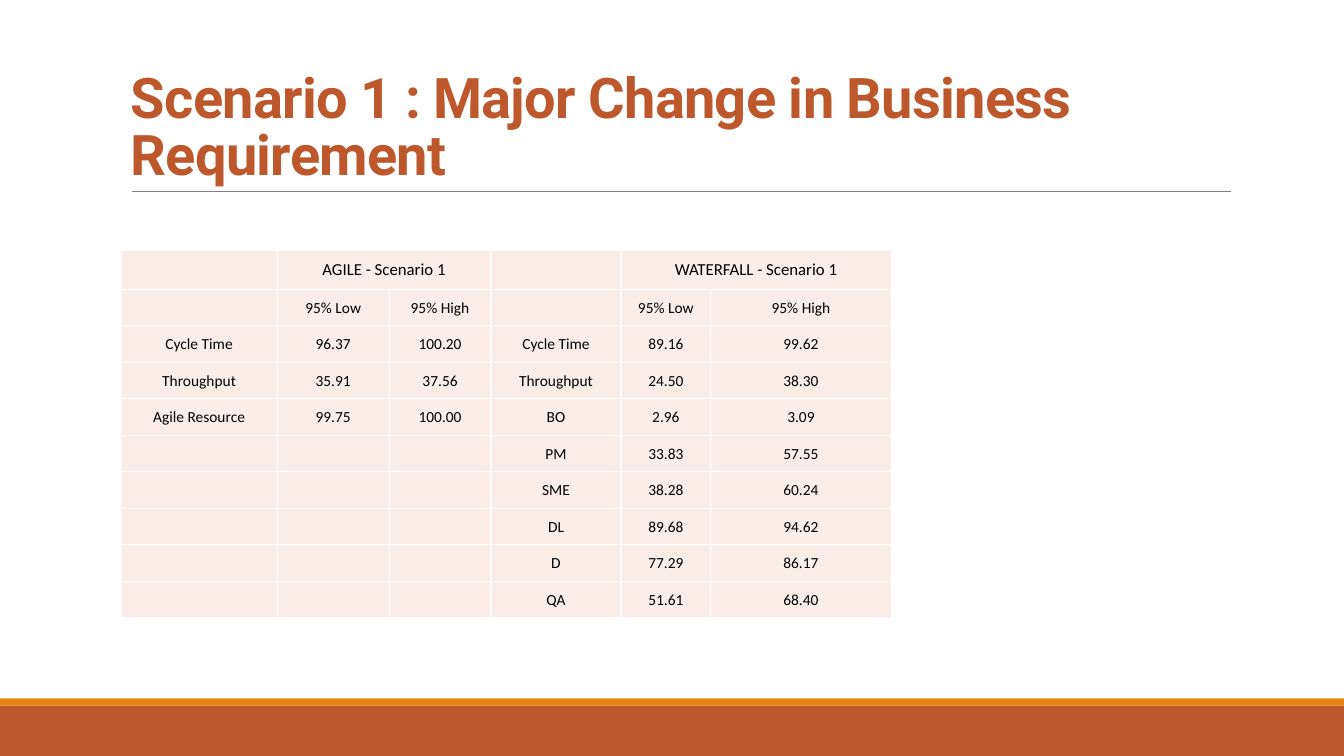
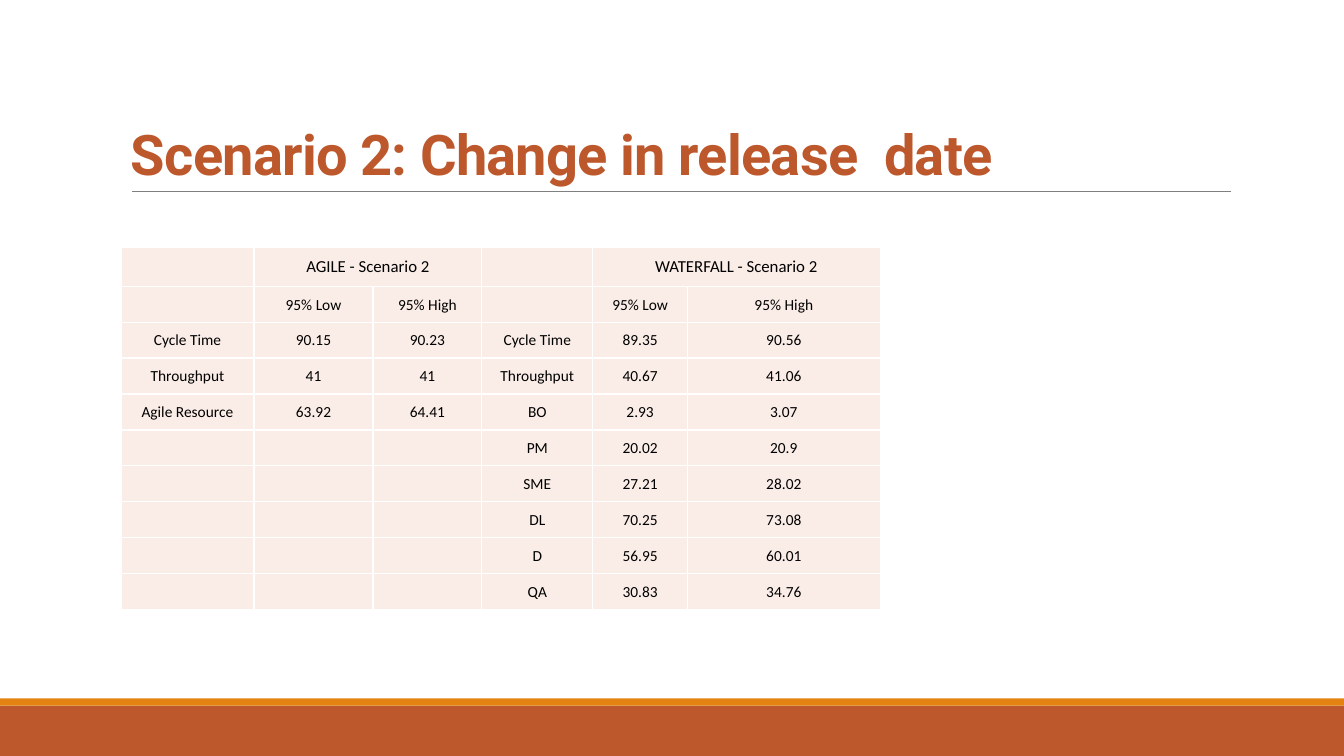
from lxml.etree import SubElement
from pptx import Presentation
from pptx.dml.color import RGBColor
from pptx.enum.shapes import MSO_CONNECTOR as CONN, MSO_SHAPE as SHAPE
from pptx.enum.text import MSO_ANCHOR as ANCHOR, PP_ALIGN as ALIGN
from pptx.oxml.ns import qn
from pptx.util import Inches, Pt

COLORS = {"rust": "BD582C", "amber": "E48312", "rule": "808080",
          "cell": "FAEDE7", "border": "FFFFFF", "text": "000000"}
BANDS = [(7, 0.5, "rust"), (6.93, 0.07, "amber")]
TITLE_FONT = {"name": "Roboto", "size": Pt(40), "bold": True}
CELL_FORMAT = {"vertical_anchor": ANCHOR.MIDDLE, "margin_left": Inches(0.01),
               "margin_right": Inches(0.01), "margin_top": Inches(0.01),
               "margin_bottom": 0}
HEADER_HEIGHT = 0.39
AGILE_ROWS = ["Cycle Time", "Throughput", "Agile Resource"]
WATERFALL_ROWS = ["Cycle Time", "Throughput", "BO", "PM", "SME", "DL", "D", "QA"]
RANGE = ["95% Low", "95% High"]

SCENARIOS = [
    {"title": "Scenario 1 : Major Change in Business Requirement",
     "name": "Scenario 1", "top": 2.48, "height": 3.65,
     "cols": [1.55, 1.11, 1.01, 1.29, 0.89, 1.79],
     "agile": [("96.37", "100.20"), ("35.91", "37.56"), ("99.75", "100.00")],
     "waterfall": [("89.16", "99.62"), ("24.50", "38.30"), ("2.96", "3.09"),
                   ("33.83", "57.55"), ("38.28", "60.24"), ("89.68", "94.62"),
                   ("77.29", "86.17"), ("51.61", "68.40")]},
    {"title": "Scenario 2: Change in release  date",
     "name": "Scenario 2", "top": 2.45, "height": 3.6,
     "cols": [1.32, 1.18, 1.08, 1.1, 0.94, 1.91],
     "agile": [("90.15", "90.23"), ("41", "41"), ("63.92", "64.41")],
     "waterfall": [("89.35", "90.56"), ("40.67", "41.06"), ("2.93", "3.07"),
                   ("20.02", "20.9"), ("27.21", "28.02"), ("70.25", "73.08"),
                   ("56.95", "60.01"), ("30.83", "34.76")]},
]


def rgb(name):
    return RGBColor.from_string(COLORS[name])


def apply(target, values):
    for key, value in values.items():
        setattr(target, key, value)


def add_text(p, text, font, color):
    r = p.add_run()
    r.text = text
    apply(r.font, font)
    r.font.color.rgb = rgb(color)
    return r


def add_frame(s):
    for top, height, color in BANDS:
        sp = s.shapes.add_shape(SHAPE.RECTANGLE, 0, Inches(top),
                                Inches(13.33), Inches(height))
        sp.shadow.inherit = False
        sp.fill.solid()
        sp.fill.fore_color.rgb = rgb(color)
        sp.line.fill.background()
    rule = s.shapes.add_connector(CONN.STRAIGHT, Inches(1.31), Inches(1.9),
                                  Inches(12.21), Inches(1.9))
    rule.line.color.rgb = rgb("rule")
    rule.line.width = Pt(0.5)
    SubElement(rule.element.spPr, qn("a:effectLst"))


def add_title(s, text):
    box = s.shapes.add_textbox(Inches(1.2), Inches(0.31), Inches(11), Inches(1.59))
    tf = box.text_frame
    apply(tf, {"word_wrap": True, "vertical_anchor": ANCHOR.BOTTOM})
    p = tf.paragraphs[0]
    p.line_spacing = 0.85
    r = add_text(p, text, TITLE_FONT, "rust")
    r.font._element.set("spc", "-50")


def table_rows(scenario):
    agile = [[label, *values] for label, values in zip(AGILE_ROWS, scenario["agile"])]
    agile += [["", "", ""]] * (len(WATERFALL_ROWS) - len(agile))
    waterfall = [[label, *values]
                 for label, values in zip(WATERFALL_ROWS, scenario["waterfall"])]
    head = ["", f"AGILE - {scenario['name']}", "",
            "", f"WATERFALL - {scenario['name']}", ""]
    return [head, ["", *RANGE] * 2] + [a + w for a, w in zip(agile, waterfall)]


def format_cell(cell, text, size):
    apply(cell, CELL_FORMAT)
    tcPr = cell._tc.get_or_add_tcPr()
    for side in ("lnL", "lnR", "lnT", "lnB"):
        ln = SubElement(tcPr, qn(f"a:{side}"), w=str(Pt(1)))
        fill = SubElement(ln, qn("a:solidFill"))
        SubElement(fill, qn("a:srgbClr"), val=COLORS["border"])
    cell.fill.solid()
    cell.fill.fore_color.rgb = rgb("cell")
    if text:
        p = cell.text_frame.paragraphs[0]
        p.alignment = ALIGN.CENTER
        add_text(p, text, {"name": "Calibri", "size": Pt(size), "bold": False}, "text")


def add_results(s, scenario):
    rows, cols = table_rows(scenario), scenario["cols"]
    table = s.shapes.add_table(len(rows), len(cols), Inches(1.2),
                               Inches(scenario["top"]), Inches(sum(cols)),
                               Inches(scenario["height"])).table
    apply(table, {"first_row": False, "horz_banding": False})
    for column, width in zip(table.columns, cols):
        column.width = Inches(width)
    body_height = (scenario["height"] - HEADER_HEIGHT) / (len(rows) - 1)
    for i, row in enumerate(rows):
        table.rows[i].height = Inches(body_height if i else HEADER_HEIGHT)
        for j, text in enumerate(row):
            format_cell(table.cell(i, j), text, 11 if i else 12)
    for j in (1, 4):
        table.cell(0, j).merge(table.cell(0, j + 1))


def main():
    prs = Presentation()
    apply(prs, {"slide_width": Inches(13.33), "slide_height": Inches(7.5)})
    for scenario in SCENARIOS:
        s = prs.slides.add_slide(prs.slide_layouts[6])
        add_frame(s)
        add_title(s, scenario["title"])
        add_results(s, scenario)
    prs.save("out.pptx")


if __name__ == "__main__":
    main()
